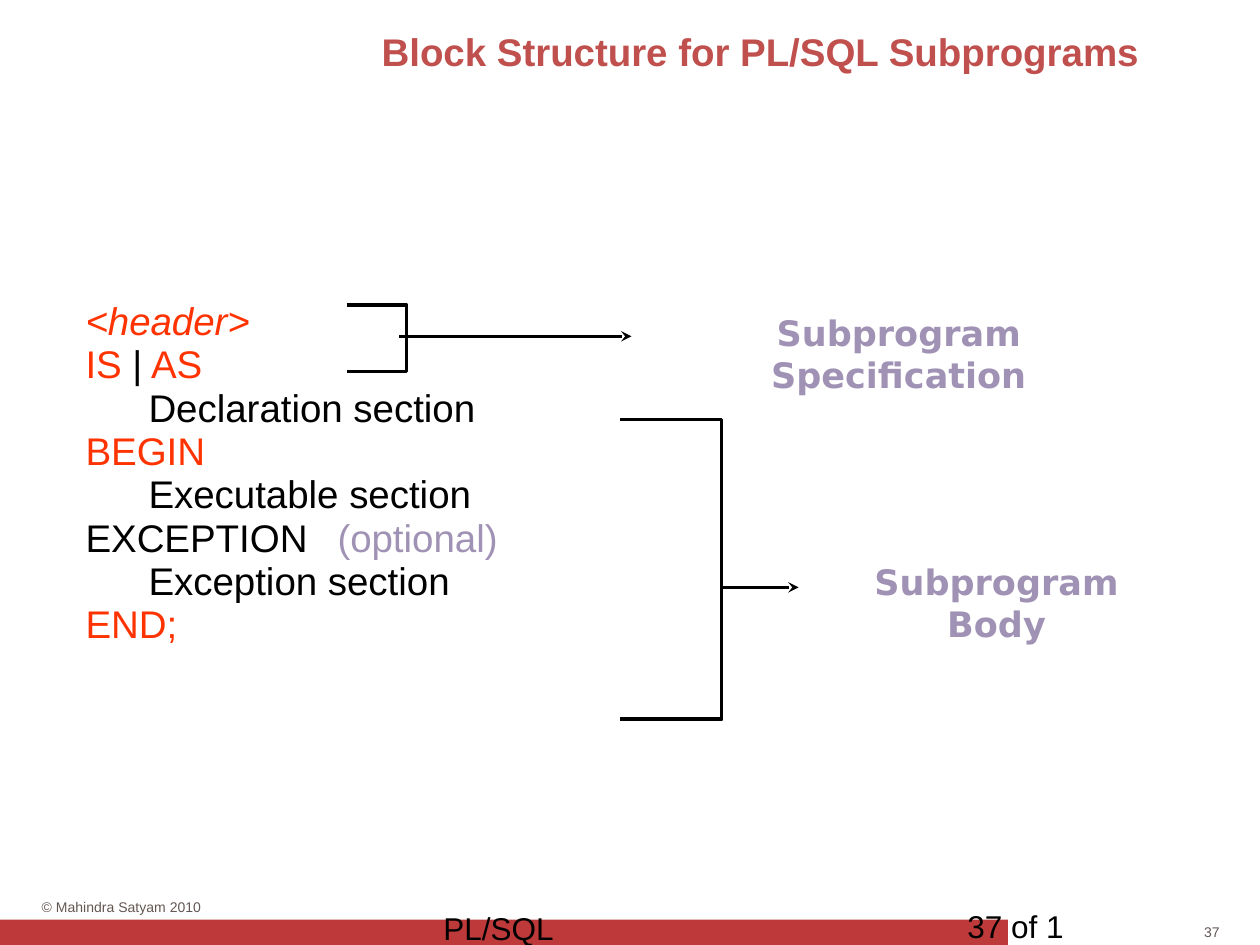
from lxml import etree
from pptx import Presentation
from pptx import util as u
from pptx.dml.color import RGBColor
from pptx.enum import shapes, text
from pptx.oxml.ns import qn

HUES = {"bar": "BE3A3A", "head": "C0504D", "key": "FF3300",
        "ink": "000000", "note": "A092B4", "gray": "625753"}

# Each line is a list of (text, hue, italic)
CODE = [
    [("<header>", "key", True)],
    [("IS ", "key", False), ("|", "ink", False), (" AS", "key", False)],
    [("\tDeclaration section", "ink", False)],
    [("BEGIN", "key", False)],
    [("\tExecutable section", "ink", False)],
    [("EXCEPTION\t", "ink", False), ("(optional)", "note", False)],
    [("\tException section", "ink", False)],
    [("END;", "key", False)],
]
STOPS = (2.54, 7.62)


def hue(name):
    return RGBColor.from_string(HUES[name])


def style(font, tint, **form):
    for key, val in {"name": "Arial", **form}.items():
        setattr(font, key, val)
    font.color.rgb = hue(tint)


def place(shape, *spot):
    for key, val in zip(("left", "top", "width", "height"), spot):
        setattr(shape, key, u.Cm(val))


def set_frame(frame, **form):
    base = {"word_wrap": True, "auto_size": text.MSO_AUTO_SIZE.NONE,
            "vertical_anchor": text.MSO_ANCHOR.TOP}
    for key, val in {**base, **form}.items():
        setattr(frame, key, val)


def add_label(slide, words, spot, tint, size, align=text.PP_ALIGN.LEFT,
              pad=True, form=None, **font):
    box = slide.shapes.add_textbox(*map(u.Cm, spot))
    frame = box.text_frame
    set_frame(frame, **(form or {}))
    if not pad:
        for side in ("left", "top", "right", "bottom"):
            setattr(frame, f"margin_{side}", 0)
    para = frame.paragraphs[0]
    para.text = words
    para.alignment = align
    for run in para.runs:
        style(run.font, tint, size=u.Pt(size), **font)


def add_title(slide, words):
    title = slide.shapes.title
    place(title, 7.44, 0.43, 15.82, 1.47)
    set_frame(title.text_frame)
    para = title.text_frame.paragraphs[0]
    para.text = words
    para.alignment = text.PP_ALIGN.LEFT
    style(para.runs[0].font, "head", size=u.Pt(22), bold=True)


def add_code(slide, lines):
    body = slide.placeholders[1]
    place(body, 1.47, 5.97, 18.39, 9.09)
    frame = body.text_frame
    set_frame(frame)
    for num, line in enumerate(lines):
        para = frame.add_paragraph() if num else frame.paragraphs[0]
        # Plain lines with tab stops in place of bullets
        props = para._p.get_or_add_pPr()
        props.set("marL", "0")
        props.set("indent", "0")
        etree.SubElement(props, qn("a:buNone"))
        tabs = etree.SubElement(props, qn("a:tabLst"))
        for stop in STOPS:
            etree.SubElement(tabs, qn("a:tab"), pos=str(u.Cm(stop)), algn="l")
        para.line_spacing = 0.9
        para.space_before = u.Pt(1 if num else 0)
        for words, tint, slant in line:
            run = para.add_run()
            run.text = words
            style(run.font, tint, size=u.Pt(22), italic=slant)


def ink_line(shape):
    shape.line.color.rgb = hue("ink")
    shape.line.width = u.Pt(2)


def add_brace(slide, left, top, right, low):
    path = slide.shapes.build_freeform(u.Cm(left), u.Cm(top))
    path.add_line_segments([(u.Cm(x), u.Cm(y)) for x, y in
                            ((right, top), (right, low), (left, low))],
                           close=False)
    shape = path.convert_to_shape()
    shape.shadow.inherit = False
    shape.fill.background()
    ink_line(shape)


def add_arrow(slide, start, end, level):
    line = slide.shapes.add_connector(
        shapes.MSO_CONNECTOR.STRAIGHT,
        u.Cm(start), u.Cm(level), u.Cm(end), u.Cm(level))
    ink_line(line)
    etree.SubElement(line.line._get_or_add_ln(), qn("a:tailEnd"),
                     type="stealth")
    etree.SubElement(line._element.spPr, qn("a:effectLst"))


def add_foot(slide):
    bar = slide.shapes.add_shape(shapes.MSO_SHAPE.RECTANGLE,
                                 *map(u.Cm, (0, 18.54, 20.32, 0.51)))
    bar.shadow.inherit = False
    bar.fill.solid()
    bar.fill.fore_color.rgb = hue("bar")
    bar.line.fill.background()
    add_label(slide, "37", (24.23, 18.62, 0.36, 0.33), "gray", 8,
              text.PP_ALIGN.RIGHT, pad=False,
              form={"word_wrap": False,
                    "vertical_anchor": text.MSO_ANCHOR.MIDDLE})
    add_label(slide, "© Mahindra Satyam 2010", (0.84, 18.11, 3.91, 0.33),
              "gray", 8, pad=False)
    add_label(slide, "PL/SQL", (8.69, 18.21, 8.05, 0.69), "ink", 18)
    add_label(slide, "37 of 1", (19.25, 18.16, 5.92, 0.89), "ink", 18)


def main():
    deck = Presentation()
    deck.slide_width, deck.slide_height = u.Cm(25.4), u.Cm(19.05)
    slide = deck.slides.add_slide(deck.slide_layouts[1])

    add_foot(slide)
    add_title(slide, "Block Structure for PL/SQL Subprograms")
    add_code(slide, CODE)

    # Names of the two parts
    for words, spot in (
            ("Subprogram\vSpecification", (12.75, 6.15, 10.74, 1.09)),
            ("Subprogram\vBody", (16.28, 11.18, 7.62, 1.09))):
        add_label(slide, words, spot, "note", 20, text.PP_ALIGN.CENTER,
                  form={"word_wrap": False}, name="DejaVu Sans", bold=True)

    # Braces with arrows to the names
    add_brace(slide, 6.99, 6.15, 8.2, 7.49)
    add_arrow(slide, 8.05, 12.73, 6.78)
    add_brace(slide, 12.5, 8.46, 14.55, 14.5)
    add_arrow(slide, 14.55, 16.1, 11.84)

    deck.save("out.pptx")


if __name__ == "__main__":
    main()
